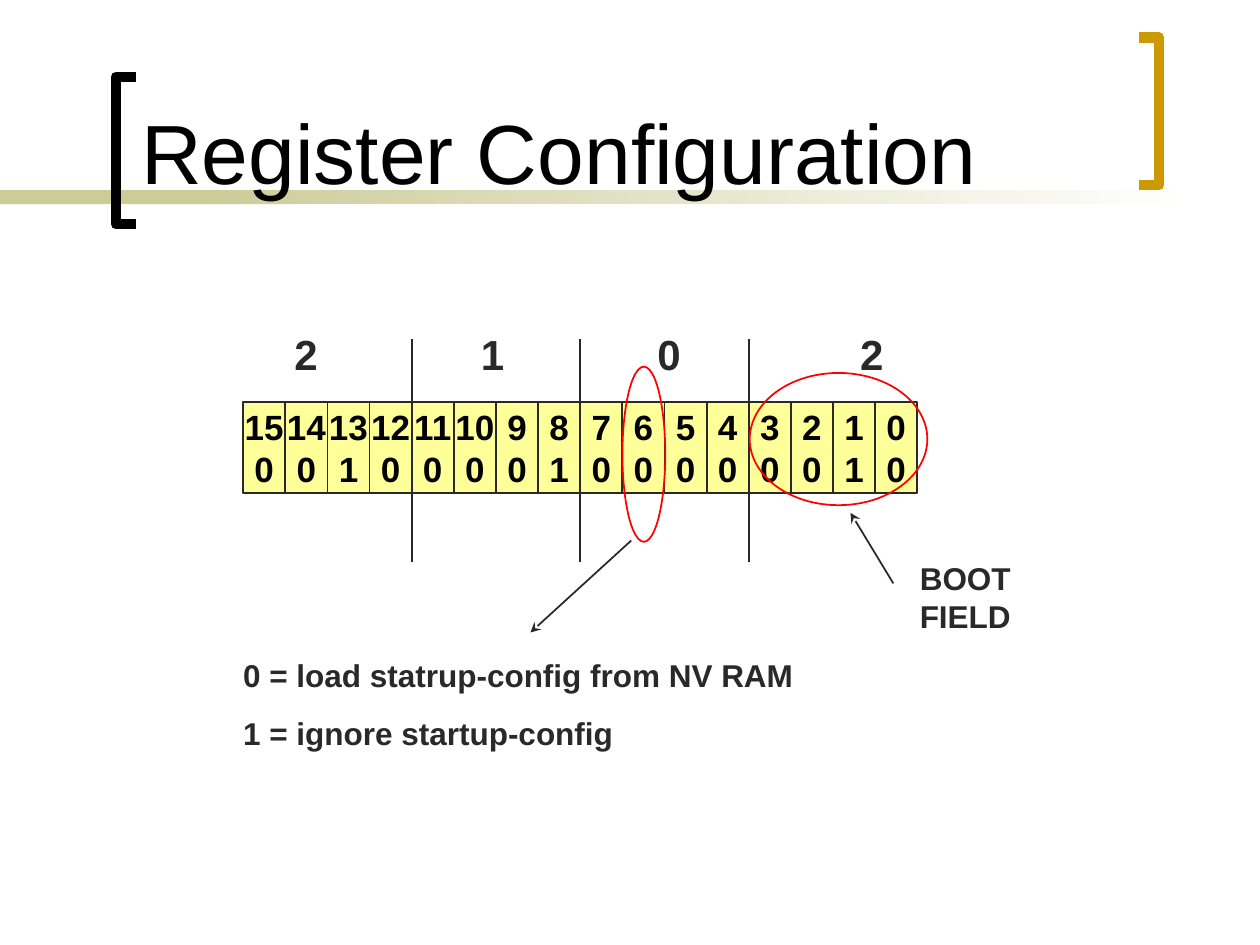
from lxml import etree
from pptx import Presentation
from pptx.dml.color import RGBColor
from pptx.enum import shapes as kinds, text as txt
from pptx.oxml.ns import qn
from pptx.util import Inches, Pt

BLACK = RGBColor(0x00, 0x00, 0x00)
WHITE = RGBColor(0xFF, 0xFF, 0xFF)
INK = RGBColor(0x29, 0x29, 0x29)
KHAKI = RGBColor(0xCC, 0xCC, 0x99)
GOLD = RGBColor(0xCC, 0x99, 0x00)
YELLOW = RGBColor(0xFF, 0xFF, 0x99)
RED = RGBColor(0xFF, 0x00, 0x00)

REGISTER_BITS = "0010000100000010"  # bit 15 first
NIBBLES = [("2", 2.06), ("1", 3.54), ("0", 4.94), ("2", 6.55)]
REGISTER_LEFT, REGISTER_RIGHT = 1.93, 7.28
BIT_WIDTH = (REGISTER_RIGHT - REGISTER_LEFT) / len(REGISTER_BITS)
CENTER, LEFT = txt.PP_ALIGN.CENTER, txt.PP_ALIGN.LEFT


def write(frame, lines, size, color, bold=True, align=LEFT, gap=0, **frame_format):
    """Fill a text frame, one paragraph per line."""
    settings = dict(
        word_wrap=True, auto_size=txt.MSO_AUTO_SIZE.NONE,
        vertical_anchor=txt.MSO_ANCHOR.TOP,
        margin_left=Inches(0.08), margin_right=Inches(0.08),
        margin_top=Inches(0.04), margin_bottom=Inches(0.04),
    )
    for name, value in {**settings, **frame_format}.items():
        setattr(frame, name, value)
    frame.text = "\n".join(lines)
    for index, paragraph in enumerate(frame.paragraphs):
        paragraph.alignment = align
        if index and gap:
            paragraph.space_before = Pt(gap)
        font = paragraph.font
        for name, value in dict(name="Arial", size=Pt(size), bold=bold).items():
            setattr(font, name, value)
        font.color.rgb = color


def add_label(slide, box, lines, size, **text_format):
    label = slide.shapes.add_textbox(*map(Inches, box))
    write(label.text_frame, lines, size, INK, **text_format)


def add_preset(slide, preset, box, fill=None, line=None):
    shape = slide.shapes.add_shape(preset, *map(Inches, box))
    shape.shadow.inherit = False
    if fill is None:
        shape.fill.background()
    else:
        shape.fill.solid()
        shape.fill.fore_color.rgb = fill
    if line is None:
        shape.line.fill.background()
    else:
        shape.line.color.rgb = line
        shape.line.width = Pt(1)
    return shape


def add_line(slide, start, end, arrow=False):
    line = slide.shapes.add_connector(
        kinds.MSO_CONNECTOR.STRAIGHT, *map(Inches, (*start, *end)))
    line.line.color.rgb = INK
    line.line.width = Pt(1)
    properties = line.element.spPr
    etree.SubElement(properties, qn("a:effectLst"))
    if arrow:
        etree.SubElement(properties.find(qn("a:ln")), qn("a:tailEnd"), type="stealth")


def add_bracket(slide, spine, tips, top, color):
    """Square bracket whose ends point from the spine to the tips."""
    bottom = top + 1.17
    outline = slide.shapes.build_freeform(Inches(tips), Inches(top))
    corners = [(spine, top), (spine, bottom), (tips, bottom)]
    outline.add_line_segments([(Inches(x), Inches(y)) for x, y in corners], close=False)
    bracket = outline.convert_to_shape()
    bracket.shadow.inherit = False
    bracket.fill.background()
    bracket.line.color.rgb = color
    bracket.line.width = Pt(6)


def add_heading(slide):
    # Band behind the title, fading to the right
    add_preset(slide, kinds.MSO_SHAPE.RECTANGLE, (0, 1.51, 2.33, 0.11), KHAKI)
    fade = add_preset(slide, kinds.MSO_SHAPE.RECTANGLE, (1.58, 1.51, 7.92, 0.11), KHAKI)
    fade.fill.gradient()
    fade.fill.gradient_angle = 0
    for stop, color in zip(fade.fill.gradient_stops, (KHAKI, WHITE)):
        stop.color.rgb = color

    add_bracket(slide, spine=0.92, tips=1.08, top=0.61, color=BLACK)
    add_bracket(slide, spine=9.2, tips=9.04, top=0.3, color=GOLD)

    # Title, brought in front of the band
    title = slide.shapes.title
    place = dict(left=1.02, top=0.36, width=8, height=1.29)
    for name, value in place.items():
        setattr(title, name, Inches(value))
    write(title.text_frame, ["Register Configuration"], 48, BLACK, bold=False,
          vertical_anchor=txt.MSO_ANCHOR.BOTTOM,
          margin_left=Inches(0.1), margin_bottom=Inches(0.05))
    slide.shapes.element.append(title.element)


def add_register(slide):
    # Bit number above bit value
    for index, bit in enumerate(REGISTER_BITS):
        left = REGISTER_LEFT + index * BIT_WIDTH
        cell = add_preset(slide, kinds.MSO_SHAPE.RECTANGLE,
                          (left, 3.19, BIT_WIDTH, 0.72), YELLOW, INK)
        number = str(len(REGISTER_BITS) - 1 - index)
        write(cell.text_frame, [number, bit], 20, BLACK, align=CENTER,
              word_wrap=False, vertical_anchor=txt.MSO_ANCHOR.MIDDLE)

    # Dividers every four bits, hexadecimal digits above
    for first_bit in (4, 8, 12):
        x = REGISTER_LEFT + first_bit * BIT_WIDTH
        add_line(slide, (x, 2.69), (x, 4.46))
    for digit, left in NIBBLES:
        add_label(slide, (left, 2.57, 0.74, 0.48), [digit], 24, align=CENTER)


def add_callouts(slide):
    # Bit 6: startup configuration
    add_preset(slide, kinds.MSO_SHAPE.OVAL, (4.94, 2.91, 0.34, 1.39), line=RED)
    add_line(slide, (5.01, 4.29), (4.21, 5.02), arrow=True)
    meanings = ["0 = load statrup-config from NV RAM", "1 = ignore startup-config"]
    add_label(slide, (1.85, 5.17, 4.57, 0.84), meanings, 18, gap=11.2)

    # Bits 3 to 0: boot field
    add_preset(slide, kinds.MSO_SHAPE.OVAL, (5.95, 2.96, 1.41, 1.05), line=RED)
    add_line(slide, (7.09, 4.63), (6.75, 4.07), arrow=True)
    add_label(slide, (7.22, 4.4, 1.01, 0.68), ["BOOT FIELD"], 18)


def main():
    deck = Presentation()
    deck.slide_width, deck.slide_height = Inches(10), Inches(7.5)
    slide = deck.slides.add_slide(deck.slide_layouts[5])
    add_heading(slide)
    add_register(slide)
    add_callouts(slide)
    deck.save("out.pptx")


if __name__ == "__main__":
    main()
